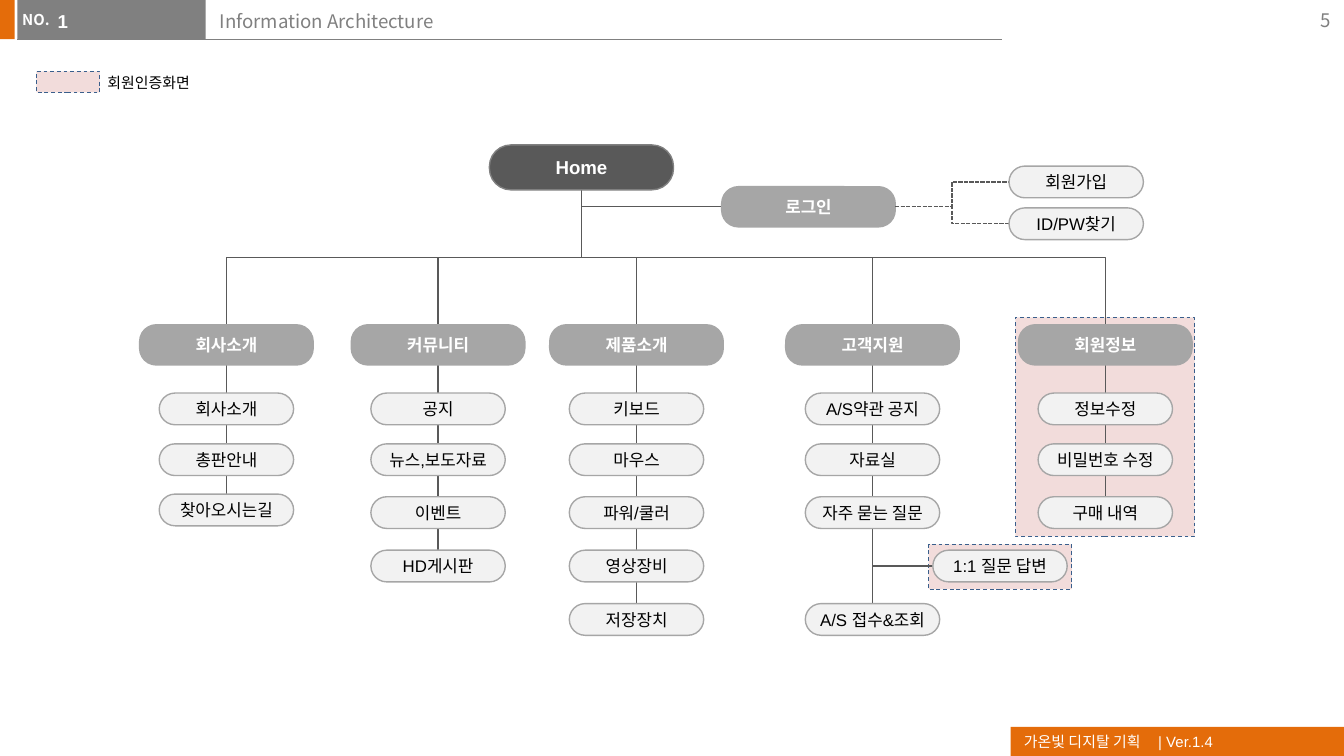
from lxml import etree
from pptx import Presentation
from pptx.dml.color import RGBColor
from pptx.enum.dml import MSO_LINE
from pptx.enum.shapes import MSO_CONNECTOR, MSO_SHAPE
from pptx.enum.text import MSO_ANCHOR, MSO_AUTO_SIZE, PP_ALIGN
from pptx.oxml.ns import qn
from pptx.util import Cm, Pt

RECT, PILL = MSO_SHAPE.RECTANGLE, MSO_SHAPE.ROUNDED_RECTANGLE
STRAIGHT, ELBOW = MSO_CONNECTOR.STRAIGHT, MSO_CONNECTOR.ELBOW
DASH, SHORT_DASH = MSO_LINE.DASH, MSO_LINE.SQUARE_DOT
LEFT, CENTER, RIGHT = PP_ALIGN.LEFT, PP_ALIGN.CENTER, PP_ALIGN.RIGHT
TOP, MIDDLE = MSO_ANCHOR.TOP, MSO_ANCHOR.MIDDLE

ORANGE = RGBColor(0xE4, 0x6C, 0x0A)
GRAY = RGBColor(0x80, 0x80, 0x80)
DARK = RGBColor(0x59, 0x59, 0x59)
MID = RGBColor(0xA6, 0xA6, 0xA6)
PALE = RGBColor(0xF2, 0xF2, 0xF2)
PINK = RGBColor(0xF2, 0xDC, 0xDB)
NAVY = RGBColor(0x3A, 0x5F, 0x8C)
WHITE = RGBColor(0xFF, 0xFF, 0xFF)
BLACK = RGBColor(0, 0, 0)

LATIN, KOREAN = "Arial", "Noto Sans CJK KR"

HOME_X, HOME_BOTTOM = 10.99, 3.59
SECTION_W, SECTION_H, SECTION_TOP = 3.28, 0.76, 6.14
PAGE_W, PAGE_H = 2.54, 0.6
ROWS = (7.43, 8.39, 9.39, 10.4, 11.41)
COMPANY_ROWS = (7.43, 8.39, 9.34)

# Section centre, section name, row tops, pages (None leaves the row free)
SECTIONS = (
    (4.28, "회사소개", COMPANY_ROWS, ("회사소개", "총판안내", "찾아오시는길")),
    (8.28, "커뮤니티", ROWS, ("공지", "뉴스,보도자료", "이벤트", "HD게시판")),
    (12.03, "제품소개", ROWS, ("키보드", "마우스", "파워/쿨러", "영상장비", "저장장치")),
    (16.49, "고객지원", ROWS,
     ("A/S약관 공지", "자료실", "자주 묻는 질문", None, "A/S 접수&조회")),
    (20.89, "회원정보", ROWS, ("정보수정", "비밀번호 수정", "구매 내역")),
)
LOGIN_X, LOGIN_Y = 15.28, 3.91
LOGIN_PAGES = ((3.44, "회원가입"), (4.23, "ID/PW찾기"))
LOGIN_PAGE_X = 20.34
ANSWER_X, ANSWER_Y = 18.9, 10.7


def write(shape, text, size, color, font=LATIN, bold=False, align=LEFT, anchor=TOP):
    frame = shape.text_frame
    frame.text = text
    frame.vertical_anchor = anchor
    paragraph = frame.paragraphs[0]
    paragraph.alignment = align
    for run in paragraph.runs:
        run.font.size = Pt(size)
        run.font.bold = bold
        run.font.name = font
        run.font.color.rgb = color
        east_asian = etree.SubElement(run.font._element, qn("a:ea"))
        east_asian.set("typeface", KOREAN)


def set_insets(shape, horizontal, vertical):
    frame = shape.text_frame
    frame.margin_left = frame.margin_right = Cm(horizontal)
    frame.margin_top = frame.margin_bottom = Cm(vertical)


def add_box(slide, kind, left, top, width, height, fill):
    box = slide.shapes.add_shape(kind, Cm(left), Cm(top), Cm(width), Cm(height))
    box.shadow.inherit = False
    box.fill.solid()
    box.fill.fore_color.rgb = fill
    box.line.fill.background()
    return box


def add_member_area(slide, left, top, width, height):
    """Dashed pink area marking screens that need a member login."""
    area = add_box(slide, RECT, left, top, width, height, PINK)
    area.line.color.rgb = NAVY
    area.line.width = Pt(0.5)
    area.line.dash_style = DASH


def add_label(slide, left, top, width, height, wrap=True):
    label = slide.shapes.add_textbox(Cm(left), Cm(top), Cm(width), Cm(height))
    label.text_frame.word_wrap = wrap
    return label


def add_pill(slide, center, top, width, height, text, fill, outline, color,
             size=9, bold=False, rounding=0.5):
    pill = add_box(slide, PILL, center - width / 2, top, width, height, fill)
    pill.adjustments[0] = rounding
    pill.line.color.rgb = outline
    pill.line.width = Pt(0.75)
    set_insets(pill, 0.05, 0.05)
    write(pill, text, size, color, bold=bold, align=CENTER, anchor=MIDDLE)


def add_section(slide, center, top, text):
    add_pill(slide, center, top, SECTION_W, SECTION_H, text, MID, MID, WHITE,
             bold=True, rounding=0.417)


def add_page(slide, center, top, text):
    add_pill(slide, center, top, PAGE_W, PAGE_H, text, PALE, MID, BLACK)


def add_link(slide, x1, y1, x2, y2, kind=STRAIGHT, color=DARK, weight=0.75, dash=None):
    link = slide.shapes.add_connector(kind, Cm(x1), Cm(y1), Cm(x2), Cm(y2))
    link.line.color.rgb = color
    link.line.width = Pt(weight)
    if dash:
        link.line.dash_style = dash
    etree.SubElement(link._element.spPr, qn("a:effectLst"))
    return link


def add_drop(slide, x1, y1, x2, y2, single_bend=False):
    """Elbow that leaves downwards: a level elbow turned a quarter about its centre."""
    middle_x, middle_y = (x1 + x2) / 2, (y1 + y2) / 2
    half_run, half_fall = abs(x2 - x1) / 2, (y2 - y1) / 2
    side = 1 if x2 > x1 else -1
    link = add_link(slide, middle_x + side * half_fall, middle_y - half_run,
                    middle_x - side * half_fall, middle_y + half_run, ELBOW)
    properties = link._element.spPr
    properties.find(qn("a:xfrm")).set("rot", "16200000" if side > 0 else "5400000")
    if single_bend:
        properties.find(qn("a:prstGeom")).set("prst", "bentConnector2")


def add_header(slide):
    add_box(slide, RECT, 0, 0, 0.28, 0.74, ORANGE)
    add_link(slide, 0.33, 0.74, 18.94, 0.74, color=GRAY, weight=0.5)
    add_box(slide, RECT, 0.33, 0, 3.56, 0.74, GRAY)
    write(add_label(slide, 0.17, 0.07, 1.05, 0.61, wrap=False),
          "NO.", 8, WHITE, KOREAN, bold=True)
    number = add_label(slide, 1.09, 0.06, 2.79, 0.68)
    set_insets(number, 0, 0.13)
    write(number, "1", 10, WHITE, bold=True)

    title = slide.shapes.title
    title.left, title.top, title.width, title.height = Cm(3.9), Cm(0.05), Cm(15), Cm(0.81)
    title.text_frame.auto_size = MSO_AUTO_SIZE.NONE
    write(title, "Information Architecture", 10, GRAY, KOREAN)
    write(add_label(slide, 23.88, 0, 1.52, 0.76), "5", 10, GRAY, KOREAN,
          align=RIGHT, anchor=MIDDLE)


def add_footer(slide):
    footer = add_box(slide, RECT, 19.1, 13.74, 6.3, 0.55, ORANGE)
    properties = footer.text_frame.paragraphs[0]._p.get_or_add_pPr()
    tabs = etree.SubElement(properties, qn("a:tabLst"))
    etree.SubElement(tabs, qn("a:tab"), pos=str(Cm(2.54)), algn="l")
    write(footer, "가온빛 디지탈 기획\t| Ver.1.4", 8, WHITE, anchor=MIDDLE)


def add_legend(slide):
    add_member_area(slide, 0.69, 1.35, 1.2, 0.4)
    write(add_label(slide, 1.78, 1.26, 2.24, 0.61, wrap=False),
          "회원인증화면", 8, BLACK, KOREAN)


def add_sections(slide):
    for center, name, tops, pages in SECTIONS:
        add_drop(slide, HOME_X, HOME_BOTTOM, center, SECTION_TOP)
        add_link(slide, center, SECTION_TOP + SECTION_H, center, tops[len(pages) - 1])
        add_section(slide, center, SECTION_TOP, name)
        for top, page in zip(tops, pages):
            if page:
                add_page(slide, center, top, page)


def add_login(slide):
    add_drop(slide, HOME_X, HOME_BOTTOM, LOGIN_X - SECTION_W / 2, LOGIN_Y, single_bend=True)
    add_section(slide, LOGIN_X, LOGIN_Y - SECTION_H / 2, "로그인")
    for center_y, page in LOGIN_PAGES:
        add_link(slide, LOGIN_X + SECTION_W / 2, LOGIN_Y, LOGIN_PAGE_X - PAGE_W / 2,
                 center_y, ELBOW, dash=SHORT_DASH)
        add_page(slide, LOGIN_PAGE_X, center_y - PAGE_H / 2, page)


def main():
    deck = Presentation()
    deck.slide_width, deck.slide_height = Cm(25.4), Cm(14.29)
    slide = deck.slides.add_slide(deck.slide_layouts[5])
    add_header(slide)
    add_footer(slide)
    add_legend(slide)
    add_member_area(slide, 17.55, 10.29, 2.71, 0.85)
    add_member_area(slide, 19.19, 6, 3.39, 4.14)
    add_sections(slide)
    add_login(slide)
    add_pill(slide, HOME_X, 2.74, 3.48, 0.85, "Home", DARK, GRAY, WHITE,
             size=10, bold=True, rounding=0.479)
    add_link(slide, SECTIONS[3][0], ANSWER_Y, ANSWER_X - PAGE_W / 2, ANSWER_Y)
    add_page(slide, ANSWER_X, ANSWER_Y - PAGE_H / 2, "1:1 질문 답변")
    deck.save("out.pptx")


if __name__ == "__main__":
    main()
